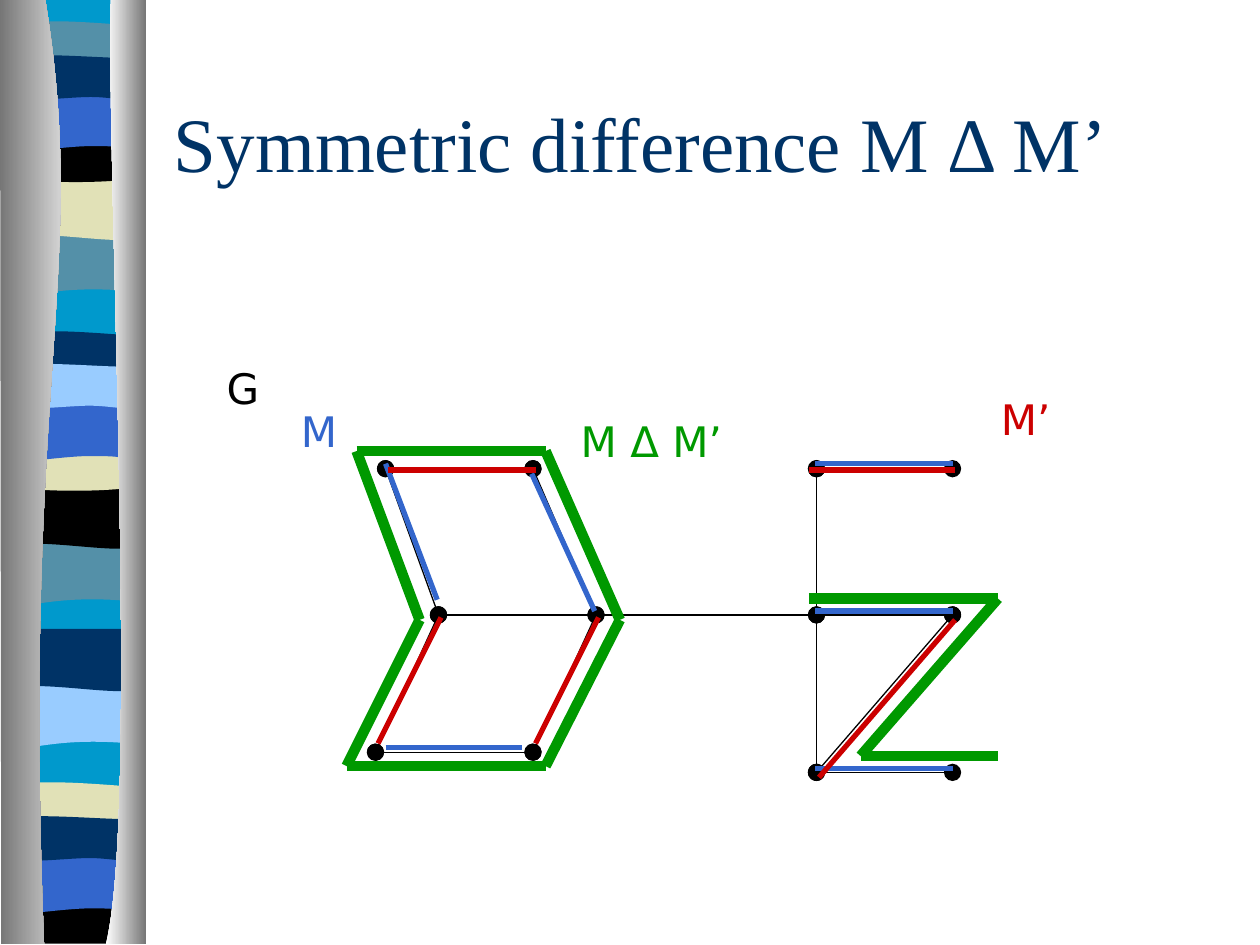
import itertools

import lxml.etree
import pptx
import pptx.dml.color
import pptx.enum.shapes
import pptx.enum.text
import pptx.oxml.ns
import pptx.util

PX = 9144
BLACK, NAVY, BLUE = "000000", "003366", "3366CC"
TEAL, CYAN, SKY, SAND = "5490A8", "0099CC", "99CCFF", "E1E1B7"
RED, GREEN, WHITE, GRAY = "CC0000", "009900", "FFFFFF", "767676"
qualified = pptx.oxml.ns.qn

# Each outline is a start point followed by segments: one point is a line, three a curve.
DIP = [(108, 0)], [(108, 47)], [(33, 39), (18, 55), (0, 47)], [(0, 0)]
SWELL = [(108, 0)], [(108, 47)], [(90, 55), (33, 41), (0, 47)], [(0, 0)]
RIBBON = ([(108, 5)], [(108, 29)], [(90, 33), (18, 33), (0, 29)], [(0, 5)],
          [(6, 0), (23, 1), (41, 1)], [(59, 1), (94, 4), (108, 5)])
SAG = ([(108, 0)], [(108, 32)], [(90, 38), (18, 38), (0, 32)], [(0, 0)],
       [(66, 5), (85, 0), (108, 0)])
ARCH = ([(108, 0)], [(108, 47)], [(91, 42), (84, 42), (66, 42)],
        [(48, 42), (16, 47), (0, 47)], [(0, 0)])
RIPPLE = ([(108, 5)], [(108, 36)], [(101, 41), (84, 36), (66, 36)],
          [(48, 36), (11, 41), (0, 36)], [(0, 5)],
          [(15, 0), (73, 5), (91, 5)], [(109, 5), (105, 5), (108, 5)])
FOOT = [(108, 0)], [(108, 37)], [(0, 37)], [(0, 0)], [(66, 5), (85, 0), (108, 0)]
BASE = [(108, 0)], [(108, 747)], [(0, 747)], [(0, 0)]
LEFT_COLUMN = [(36, 0)], [(71, 216), (17, 296), (35, 749)], [(1, 749)], [(0, 0)]
RIGHT_COLUMN = [(88, 0)], [(84, 125), (111, 646), (84, 749)], [(116, 749)], [(116, 0)]

BANDS = [
    (BASE, 6, 0, CYAN),
    (DIP, 6, 185, TEAL), (SWELL, 6, 141, SAND), (RIBBON, 6, 16, TEAL),
    (SAG, 6, 108, BLACK), (ARCH, 6, 74, BLUE), (RIPPLE, 6, 41, NAVY),
    (DIP, 5, 431, TEAL), (SWELL, 5, 386, BLACK), (RIBBON, 5, 262, NAVY),
    (SAG, 5, 353, SAND), (ARCH, 5, 320, BLUE), (RIPPLE, 5, 286, SKY),
    (DIP, 6, 544, SKY), (SWELL, 6, 499, NAVY), (RIBBON, 5, 620, SAND),
    (FOOT, 5, 712, BLACK), (ARCH, 5, 679, BLUE), (RIPPLE, 5, 645, NAVY),
]

VERTICES = {
    "a": (8, 0), "b": (125, 0), "c": (50, 116), "d": (175, 116),
    "e": (0, 225), "f": (125, 225), "g": (350, 0), "h": (458, 0),
    "i": (350, 116), "j": (458, 116), "k": (350, 241), "l": (458, 241),
}
GRAPH = [(VERTICES[start], VERTICES[end])
         for start, end in "ab ac bd ce df ci ef gk gh ij kl kj".split()]
MATCHING = [((8, -4), (49, 104)), ((124, 4), (174, 113)), ((8, 221), (116, 221))]
MATCHING += [((349, y), (458, y)) for y in (238, 113, -4)]
OTHER_MATCHING = [((2, 218), (52, 118)), ((127, 218), (177, 118)),
                  ((10, 1), (127, 1)), ((344, 1), (460, 1)), ((352, 245), (460, 120))]
CYCLE = [(-23, 236), (35, 120), (-15, -14), (135, -14), (194, 120), (135, 236), (-23, 236)]
ZIGZAG = [(344, 103), (494, 103), (385, 228), (494, 228)]
DIFFERENCE = [*itertools.pairwise(CYCLE), *itertools.pairwise(ZIGZAG)]


def rgb(value):
    return pptx.dml.color.RGBColor.from_string(value)


def write_text(shape, text, size, font, color, align, wrap=True):
    frame = shape.text_frame
    frame.word_wrap = wrap
    frame.vertical_anchor = pptx.enum.text.MSO_ANCHOR.MIDDLE
    paragraph = frame.paragraphs[0]
    paragraph.text = text
    paragraph.alignment = align
    paragraph.font.size = pptx.util.Pt(size)
    paragraph.font.name = font
    paragraph.font.color.rgb = rgb(color)


def add_outline(slide, outline, left, top):
    points = [(left + x, top + y) for segment in outline for x, y in segment]
    builder = slide.shapes.build_freeform(*points[0], scale=PX)
    builder.add_line_segments(points[1:], close=True)
    shape = builder.convert_to_shape()
    lines = list(shape.element.iter(qualified("a:lnTo")))
    for segment in outline[1:]:
        parts, lines = lines[:len(segment)], lines[len(segment):]
        if len(parts) == 3:
            curve = lxml.etree.Element(qualified("a:cubicBezTo"))
            parts[0].addprevious(curve)
            for part in parts:
                curve.append(part[0])
                part.getparent().remove(part)
    shape.shadow.inherit = False
    shape.line.fill.background()
    return shape


def add_ribbon(slide, box):
    left, top = box
    for outline, x, y, color in BANDS:
        shape = add_outline(slide, outline, left + x, top + y)
        shape.fill.solid()
        shape.fill.fore_color.rgb = rgb(color)
    for outline, colors in ((LEFT_COLUMN, (GRAY, WHITE)), (RIGHT_COLUMN, (WHITE, GRAY))):
        shape = add_outline(slide, outline, left, top)
        shape.fill.gradient()
        shape.fill.gradient_angle = 0
        for stop, color in zip(shape.fill.gradient_stops, colors):
            stop.color.rgb = rgb(color)


def add_edges(slide, box, edges, color, width, dots=False):
    left, top = box
    for (x1, y1), (x2, y2) in edges:
        connector = slide.shapes.add_connector(
            pptx.enum.shapes.MSO_CONNECTOR.STRAIGHT,
            (left + x1) * PX, (top + y1) * PX, (left + x2) * PX, (top + y2) * PX)
        connector.line.color.rgb = rgb(color)
        connector.line.width = pptx.util.Pt(width)
        properties = connector.element.spPr
        if dots:
            line = properties.find(qualified("a:ln"))
            for end in ("a:headEnd", "a:tailEnd"):
                lxml.etree.SubElement(line, qualified(end), type="oval", w="lg", len="lg")
        lxml.etree.SubElement(properties, qualified("a:effectLst"))


def add_label(slide, box, x, y, width, text, color):
    left, top = box
    label = slide.shapes.add_textbox((left + x) * PX, (top + y) * PX, width * PX, 50 * PX)
    write_text(label, text, size=24, font="DejaVu Sans", color=color,
               align=pptx.enum.text.PP_ALIGN.CENTER, wrap=False)


def add_graph(slide, box):
    add_edges(slide, box, GRAPH, BLACK, 0.75, dots=True)
    add_label(slide, box, -128, -89, 40, "G", BLACK)
    add_edges(slide, box, MATCHING, BLUE, 3)
    add_label(slide, box, -69, -55, 40, "M", BLUE)
    add_edges(slide, box, OTHER_MATCHING, RED, 3)
    add_label(slide, box, 486, -65, 60, "M’", RED)
    add_edges(slide, box, DIFFERENCE, GREEN, 6)
    add_label(slide, box, 149, -47, 140, "M Δ M’", GREEN)


def add_title(slide, box):
    title = slide.shapes.title
    title.left, title.top, title.width, title.height = (length * PX for length in box)
    write_text(title, "Symmetric difference M Δ M’", size=44, font="Times New Roman",
               color=NAVY, align=pptx.enum.text.PP_ALIGN.LEFT)


def main():
    presentation = pptx.Presentation()
    presentation.slide_width = 1000 * PX
    presentation.slide_height = 750 * PX
    slide = presentation.slides.add_slide(presentation.slide_layouts[5])
    add_ribbon(slide, (0, 0))
    add_graph(slide, (298, 372))
    add_title(slide, (128, 50, 850, 125))
    presentation.save("out.pptx")


if __name__ == "__main__":
    main()
